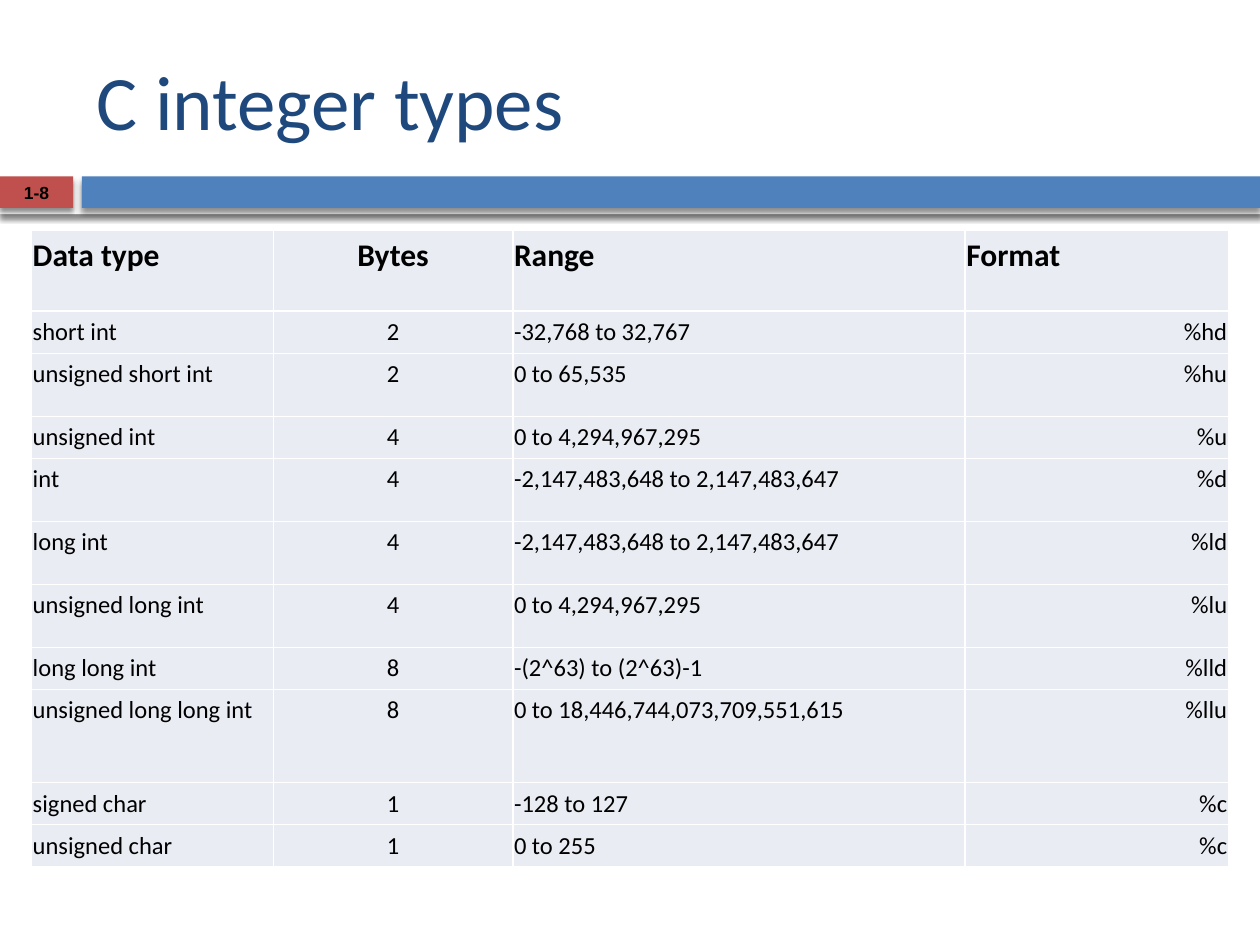
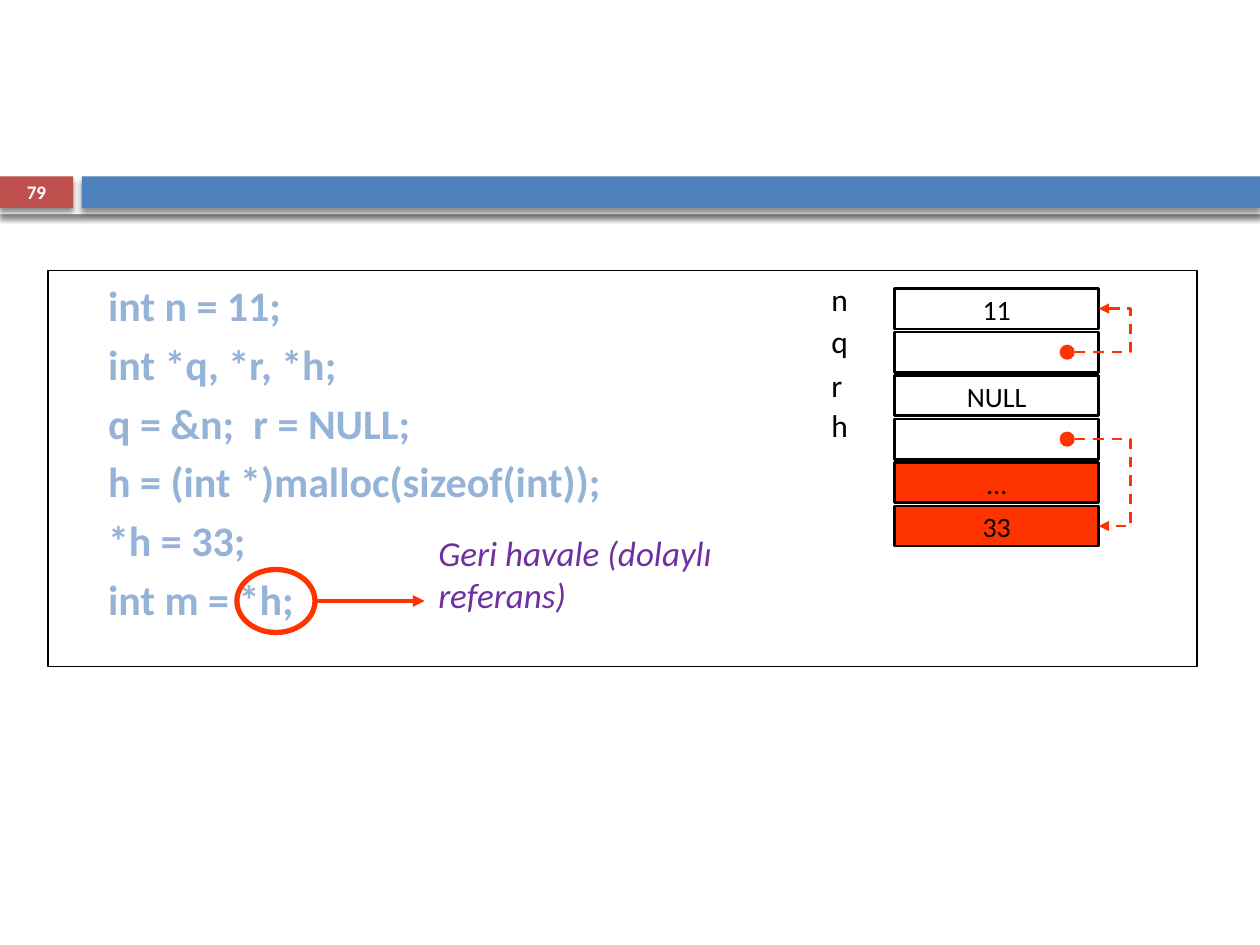
from dataclasses import dataclass
from typing import NamedTuple, Optional

from lxml import etree
from pptx import Presentation
from pptx import util as u
from pptx.dml.color import RGBColor
from pptx.enum import dml, shapes, text
from pptx.oxml import ns
from pptx.slide import Slide

# The slide is a grid of 100 columns by 75 rows.
WIDTH, HEIGHT = u.Inches(10), u.Inches(7.5)
COLUMN, ROW = WIDTH / 100, HEIGHT / 75

WHITE = RGBColor(0xFF, 0xFF, 0xFF)
BLACK = RGBColor(0x00, 0x00, 0x00)
NAVY = RGBColor(0x1F, 0x49, 0x7D)
BLUE = RGBColor(0x4F, 0x81, 0xBD)
PALE_BLUE = RGBColor(0x95, 0xB3, 0xD7)
BRICK = RGBColor(0xC0, 0x50, 0x4D)
RED = RGBColor(0xFF, 0x33, 0x00)
PURPLE = RGBColor(0x70, 0x30, 0xA0)
CELL_GREY = RGBColor(0xE9, 0xEC, 0xF3)

LEFT, CENTER, RIGHT = text.PP_ALIGN.LEFT, text.PP_ALIGN.CENTER, text.PP_ALIGN.RIGHT
TOP, MIDDLE = text.MSO_ANCHOR.TOP, text.MSO_ANCHOR.MIDDLE
RECTANGLE, OVAL = shapes.MSO_SHAPE.RECTANGLE, shapes.MSO_SHAPE.OVAL
STRAIGHT, ELBOW = shapes.MSO_CONNECTOR.STRAIGHT, shapes.MSO_CONNECTOR.ELBOW


class Area(NamedTuple):
    column: float
    row: float
    columns: float
    rows: float

    def lengths(self) -> tuple[int, int, int, int]:
        return (round(self.column * COLUMN), round(self.row * ROW),
                round(self.columns * COLUMN), round(self.rows * ROW))


class Point(NamedTuple):
    column: float
    row: float

    def lengths(self) -> tuple[int, int]:
        return round(self.column * COLUMN), round(self.row * ROW)


@dataclass(frozen=True)
class Style:
    size: float
    color: RGBColor = BLACK
    font: str = "Calibri"
    bold: bool = False
    italic: bool = False
    align: text.PP_ALIGN = LEFT


class Band(NamedTuple):
    area: Area
    fill: RGBColor


class IntegerType(NamedTuple):
    name: str
    size: str
    limits: str
    format: str
    rows: float


class MemoryCell(NamedTuple):
    value: str = ""
    fill: Optional[RGBColor] = None


class Label(NamedTuple):
    name: str
    row: float


class Pointer(NamedTuple):
    source: int
    target: int


BANDS = [
    Band(Area(0, 13.5, 100, 3.5), WHITE),
    Band(Area(0, 14, 5.8, 2.5), BRICK),
    Band(Area(6.5, 14, 93.5, 2.5), BLUE),
]
NUMBER_AREA = Area(0, 13.9, 5.8, 2.7)
TITLE_AREA = Area(6.7, 2.5, 89.2, 10.8)
TITLE_STYLE = Style(44, NAVY)

TABLE_COLUMNS = [19.2, 19, 35.9, 20.9]
TABLE_HEADER = IntegerType("Data type", "Bytes", "Range", "Format", 6.4)
INTEGER_TYPES = [
    IntegerType("short int", "2", "-32,768 to 32,767", "%hd", 3),
    IntegerType("unsigned short int", "2", "0 to 65,535", "%hu", 5),
    IntegerType("unsigned int", "4", "0 to 4,294,967,295", "%u", 3),
    IntegerType("int", "4", "-2,147,483,648 to 2,147,483,647", "%d", 5),
    IntegerType("long int", "4", "-2,147,483,648 to 2,147,483,647", "%ld", 5),
    IntegerType("unsigned long int", "4", "0 to 4,294,967,295", "%lu", 5),
    IntegerType("long long int", "8", "-(2^63) to (2^63)-1", "%lld", 3),
    IntegerType("unsigned long long int", "8", "0 to 18,446,744,073,709,551,615", "%llu", 7.4),
    IntegerType("signed char", "1", "-128 to 127", "%c", 3),
    IntegerType("unsigned char", "1", "0 to 255", "%c", 3),
]

CODE_LINES = [
    "int n = 11;",
    "int *q, *r, *h;",
    "q = &n;  r = NULL;",
    "h = (int *)malloc(sizeof(int));",
    "*h = 33;",
    "int m = *h;",
]
MEMORY = [MemoryCell("11"), MemoryCell(), MemoryCell("NULL"), MemoryCell(),
          MemoryCell("…", RED), MemoryCell("33", RED)]
MEMORY_TOP, MEMORY_PITCH = 22.9, 3.45
CELL_LEFT, CELL_COLUMNS, CELL_ROWS = 71, 16.2, 3.2
DOT_LEFT, DOT_SIZE = 84.1, 1.2
LABELS = [Label("n", 21.7), Label("q", 25.1), Label("r", 28.6), Label("h", 31.7)]
POINTERS = [Pointer(1, 0), Pointer(3, 5)]


def write(frame, lines: list[str], style: Style, gap: float = 0) -> None:
    """Fill a text frame with one paragraph a line, gap points apart."""
    for index, line in enumerate(lines):
        para = frame.add_paragraph() if index else frame.paragraphs[0]
        para.alignment = style.align
        if index and gap:
            para.space_before = u.Pt(gap)
        span = para.add_run()
        span.text = line
        span.font.name = style.font
        span.font.size = u.Pt(style.size)
        span.font.bold = style.bold
        span.font.italic = style.italic
        span.font.color.rgb = style.color


def add_text(page: Slide, area: Area, lines: list[str], style: Style,
             anchor: text.MSO_ANCHOR = TOP, gap: float = 0):
    frame = page.shapes.add_textbox(*area.lengths()).text_frame
    frame.word_wrap = True
    frame.vertical_anchor = anchor
    write(frame, lines, style, gap)
    return frame


def add_box(page: Slide, area: Area, fill: Optional[RGBColor] = None,
            line: Optional[RGBColor] = None, weight: float = 1.5,
            kind: shapes.MSO_SHAPE = RECTANGLE):
    box = page.shapes.add_shape(kind, *area.lengths())
    box.shadow.inherit = False
    if fill is None:
        box.fill.background()
    else:
        box.fill.solid()
        box.fill.fore_color.rgb = fill
    if line is None:
        box.line.fill.background()
    else:
        box.line.color.rgb = line
        box.line.width = u.Pt(weight)
    return box


def add_shadow(box) -> None:
    """Drop a soft black shadow straight down."""
    effects = box._element.spPr.find(ns.qn("a:effectLst"))
    shadow = etree.SubElement(effects, ns.qn("a:outerShdw"), blurRad=str(u.Pt(3)),
                              dist=str(u.Pt(2.4)), dir="5400000", rotWithShape="0")
    color = etree.SubElement(shadow, ns.qn("a:srgbClr"), val=str(BLACK))
    etree.SubElement(color, ns.qn("a:alpha"), val="45000")


def add_arrow(page: Slide, kind: shapes.MSO_CONNECTOR, start: Point, end: Point,
              weight: float):
    arrow = page.shapes.add_connector(kind, *start.lengths(), *end.lengths())
    arrow.line.color.rgb = RED
    arrow.line.width = u.Pt(weight)
    if kind == ELBOW:
        arrow.line.dash_style = dml.MSO_LINE.DASH
    properties = arrow._element.spPr
    etree.SubElement(properties.find(ns.qn("a:ln")), ns.qn("a:tailEnd"), type="triangle")
    etree.SubElement(properties, ns.qn("a:effectLst"))
    return arrow


def add_page(deck, number: str, number_style: Style) -> Slide:
    """Add a blank slide with the shared bands and its number."""
    page = deck.slides.add_slide(deck.slide_layouts[6])
    for band in BANDS:
        add_shadow(add_box(page, band.area, band.fill))
    add_text(page, NUMBER_AREA, [number], number_style, MIDDLE)
    return page


def set_borders(cell, color: RGBColor, weight: float) -> None:
    properties = cell._tc.get_or_add_tcPr()
    for index, side in enumerate(("lnL", "lnR", "lnT", "lnB")):
        line = etree.Element(ns.qn(f"a:{side}"), w=str(u.Pt(weight)))
        fill = etree.SubElement(line, ns.qn("a:solidFill"))
        etree.SubElement(fill, ns.qn("a:srgbClr"), val=str(color))
        properties.insert(index, line)


def add_type_table(page: Slide) -> None:
    entries = [TABLE_HEADER, *INTEGER_TYPES]
    area = Area(2.5, 18.3, sum(TABLE_COLUMNS), sum(entry.rows for entry in entries))
    table = page.shapes.add_table(len(entries), len(TABLE_COLUMNS), *area.lengths()).table
    table.first_row = table.horz_banding = False
    for column, columns in zip(table.columns, TABLE_COLUMNS):
        column.width = round(columns * COLUMN)
    for row, entry in zip(table.rows, entries):
        row.height = round(entry.rows * ROW)
        header = entry is TABLE_HEADER
        aligns = [LEFT, CENTER, LEFT, LEFT if header else RIGHT]
        for cell, value, align in zip(row.cells, entry[:4], aligns):
            cell.margin_left = cell.margin_right = u.Inches(0.01)
            cell.fill.solid()
            cell.fill.fore_color.rgb = CELL_GREY
            set_borders(cell, WHITE, 0.96)
            write(cell.text_frame, [value],
                  Style(18 if header else 14, bold=header, align=align))


def cell_top(index: int) -> float:
    return MEMORY_TOP + index * MEMORY_PITCH


def add_memory(page: Slide) -> None:
    for index, cell in enumerate(MEMORY):
        area = Area(CELL_LEFT, cell_top(index), CELL_COLUMNS, CELL_ROWS)
        box = add_box(page, area, cell.fill, BLACK)
        if cell.value:
            frame = box.text_frame
            frame.margin_top = frame.margin_bottom = u.Inches(0.03)
            frame.vertical_anchor = TOP
            write(frame, [cell.value], Style(16, align=CENTER))
    for label in LABELS:
        add_text(page, Area(65, label.row, 3.9, 4), [label.name], Style(18))


def add_pointer(page: Slide, pointer: Pointer) -> None:
    """Draw a dot in the source cell and a dashed arrow around to the target cell."""
    source, target = (cell_top(index) + CELL_ROWS / 2 for index in pointer)
    add_box(page, Area(DOT_LEFT, source - DOT_SIZE / 2, DOT_SIZE, DOT_SIZE), RED, kind=OVAL)
    arrow = add_arrow(page, ELBOW, Point(DOT_LEFT + DOT_SIZE, source),
                      Point(CELL_LEFT + CELL_COLUMNS, target), 1.5)
    guides = arrow._element.spPr.find(ns.qn("a:prstGeom")).get_or_add_avLst()
    etree.SubElement(guides, ns.qn("a:gd"), name="adj1", fmla="val 233300")


def add_code(page: Slide) -> None:
    frame = add_text(page, Area(7.5, 21.7, 43.7, 33.7), CODE_LINES,
                     Style(24, PALE_BLUE, bold=True), gap=4.8)
    for para in frame.paragraphs:
        properties = para._p.get_or_add_pPr()
        properties.set("marL", str(u.Inches(0.38)))
        properties.set("indent", str(u.Inches(-0.37)))


def add_dereference_note(page: Slide) -> None:
    add_box(page, Area(18.8, 45.2, 6.2, 5), line=RED, weight=3, kind=OVAL)
    add_arrow(page, STRAIGHT, Point(25, 47.7), Point(33.7, 47.7), 2.25)
    add_text(page, Area(33.8, 41.7, 27.5, 7.6), ["Geri havale (dolaylı referans)"],
             Style(20, PURPLE, italic=True))


def main() -> None:
    deck = Presentation()
    deck.slide_width, deck.slide_height = WIDTH, HEIGHT

    page = add_page(deck, "1-8", Style(10, font="Arial", bold=True, align=CENTER))
    add_text(page, TITLE_AREA, ["C integer types"], TITLE_STYLE, MIDDLE)
    add_type_table(page)

    page = add_page(deck, "79", Style(10.9, WHITE, bold=True, align=CENTER))
    add_box(page, Area(3.8, 21.5, 91.2, 31.4), line=BLACK, weight=0.75)
    add_code(page)
    add_memory(page)
    for pointer in POINTERS:
        add_pointer(page, pointer)
    add_dereference_note(page)

    deck.save("out.pptx")


if __name__ == "__main__":
    main()
